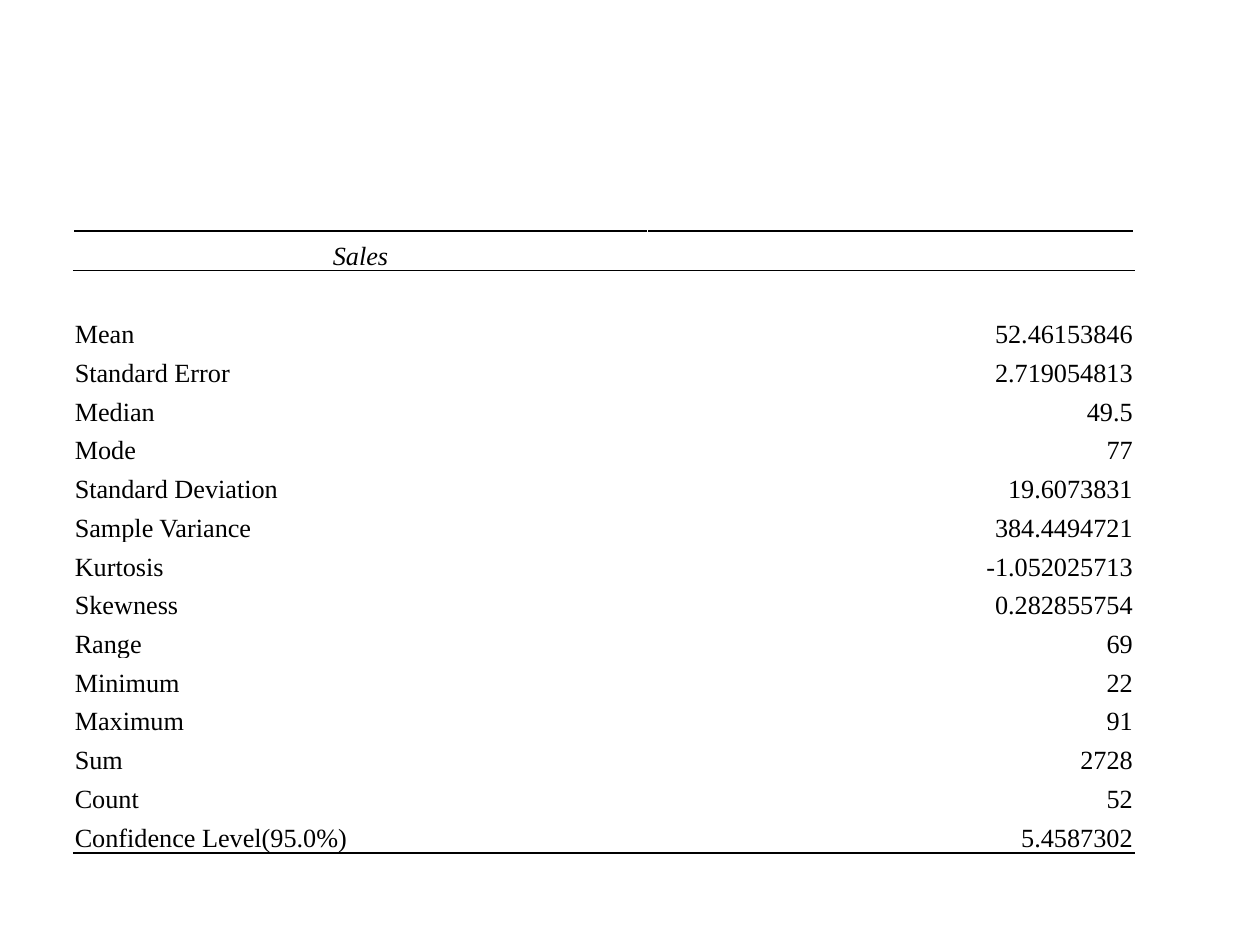
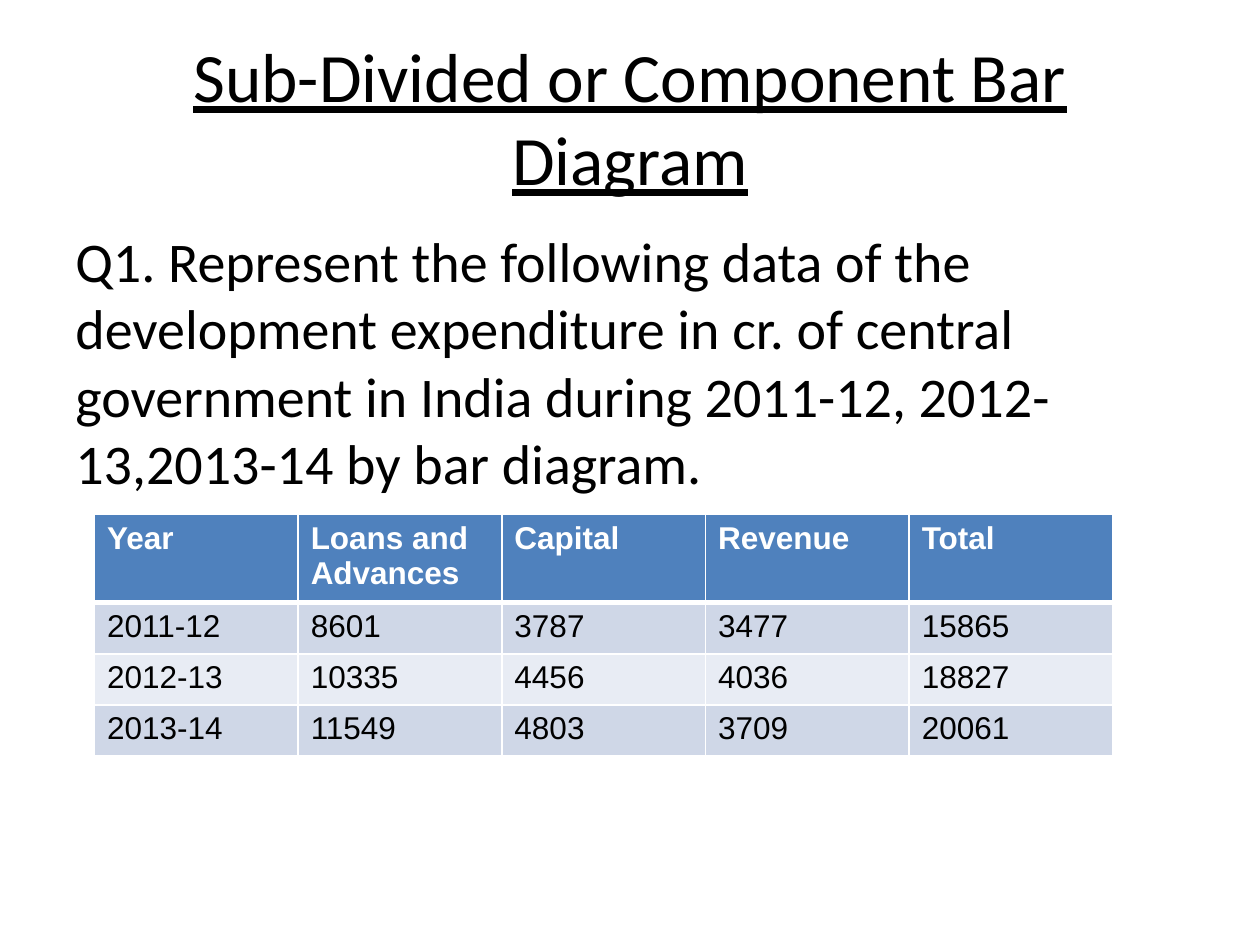
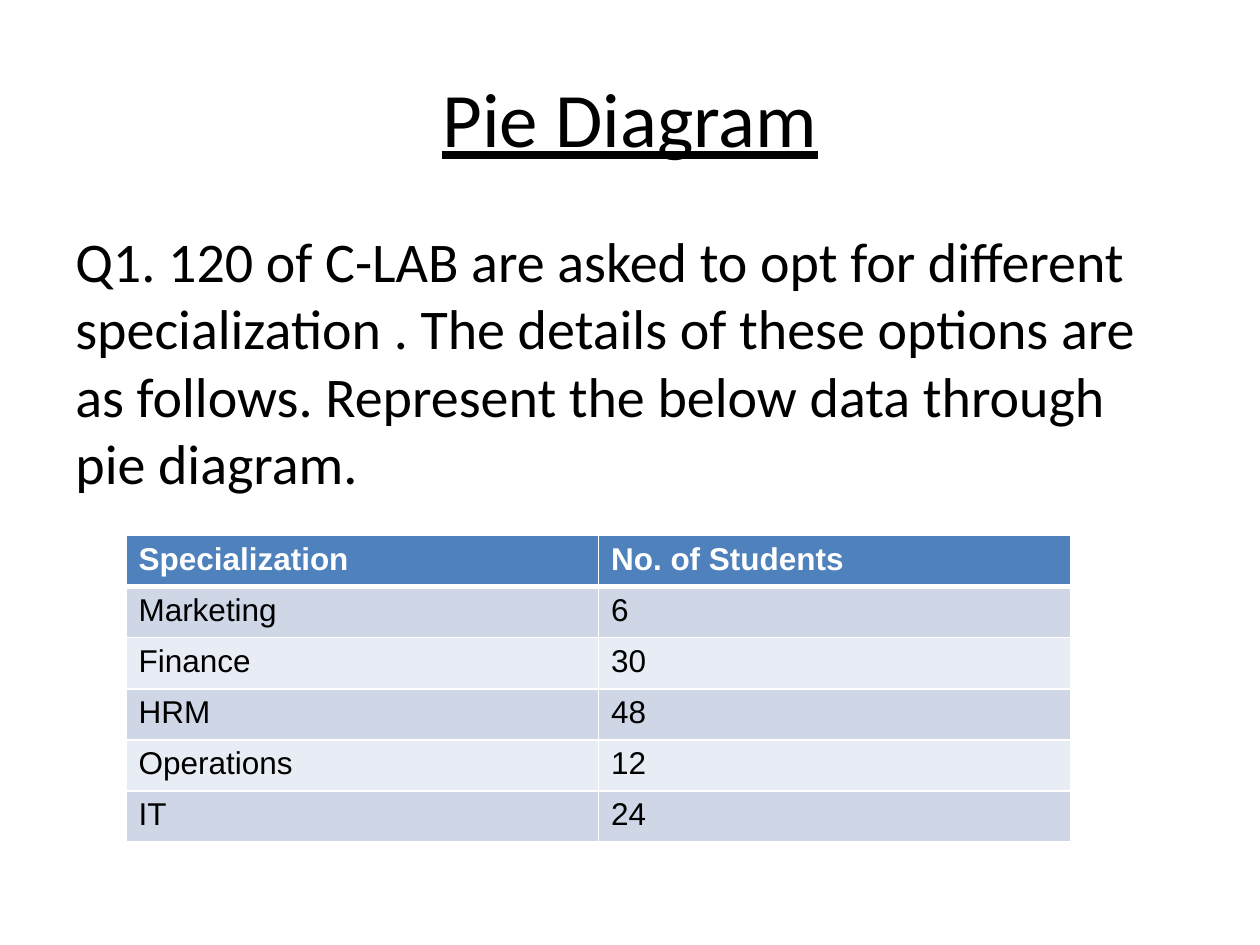
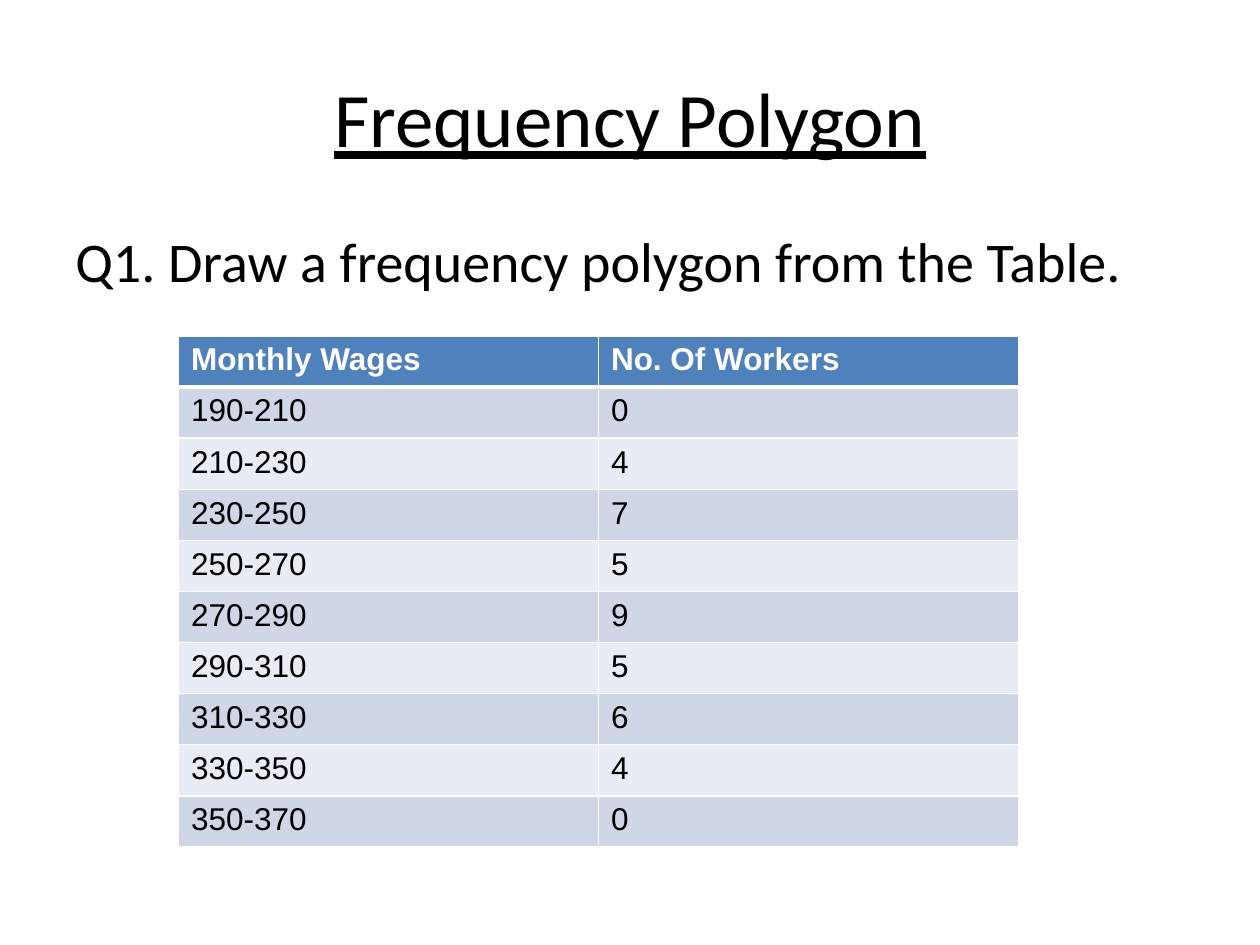
from pptx import Presentation
from pptx.dml.color import RGBColor
from pptx.enum import text
from pptx.oxml import ns
from pptx.util import Pt
from lxml import etree

COLORS = {
    "ink": "000000",
    "paper": "FFFFFF",
    "header": "4F81BD",
    "band_dark": "CFD7E7",
    "band_light": "E8ECF4",
}
ALIGN = {
    "l": text.PP_ALIGN.LEFT,
    "c": text.PP_ALIGN.CENTER,
    "r": text.PP_ALIGN.RIGHT,
}
PADDING = (7.2, 3.6, 7.2, 3.6)
TIGHT = (0.72, 0.72, 0.72, 0)
ROW_HEIGHT = 29.2
STATS_ROW_HEIGHT = 22.14


def write(tf, content, font="Calibri", size=32, color="ink", align="l",
          bold=False, italic=False, underline=False):
    p = tf.paragraphs[0]
    p.alignment = ALIGN[align]
    r = p.add_run()
    r.text = content
    r.font.name = font
    r.font.size = Pt(size)
    r.font.bold = bold
    r.font.italic = italic
    r.font.underline = underline
    r.font.color.rgb = RGBColor.from_string(COLORS[color])


def set_margins(target, margins):
    (target.margin_left, target.margin_top,
     target.margin_right, target.margin_bottom) = map(Pt, margins)


def set_borders(cell, color, **widths):
    tc_pr = cell._tc.get_or_add_tcPr()
    for side in "LRTB":
        if side in widths:
            ln = etree.SubElement(tc_pr, ns.qn("a:ln" + side), w=str(Pt(widths[side])))
            fill = etree.SubElement(ln, ns.qn("a:solidFill"))
            etree.SubElement(fill, ns.qn("a:srgbClr"), val=COLORS[color])


class Deck:
    def __init__(self):
        self.prs = Presentation()
        self.prs.slide_width = Pt(720)
        self.prs.slide_height = Pt(540)
        self.s = None

    def add_slide(self):
        self.s = self.prs.slides.add_slide(self.prs.slide_layouts[6])

    def textbox(self, content, top, height, anchor=text.MSO_ANCHOR.TOP, **fmt):
        sp = self.s.shapes.add_textbox(Pt(36), Pt(top), Pt(648), Pt(height))
        tf = sp.text_frame
        tf.word_wrap = True
        tf.vertical_anchor = anchor
        set_margins(tf, PADDING)
        write(tf, content, **fmt)

    def title(self, content, size=44):
        self.textbox(content, 21.6, 90, text.MSO_ANCHOR.MIDDLE,
                     size=size, align="c", underline=True)

    def question(self, content):
        self.textbox(content, 126, 356.4)

    def table(self, rows, left, top, widths, row_height):
        frame = self.s.shapes.add_table(
            len(rows), len(widths), Pt(left), Pt(top),
            Pt(sum(widths)), Pt(row_height * len(rows)))
        table = frame.table
        table.first_row = table.horz_banding = False
        for column, width in zip(table.columns, widths):
            column.width = Pt(width)
        for row in table.rows:
            row.height = Pt(row_height)
        return table

    def data_table(self, rows, left, top, width):
        count = len(rows[0])
        table = self.table(rows, left, top, [width / count] * count, ROW_HEIGHT)
        for i, row in enumerate(rows):
            header = i == 0
            fill = "header" if header else "band_dark" if i % 2 else "band_light"
            for j, value in enumerate(row):
                cell = table.cell(i, j)
                set_margins(cell, PADDING)
                set_borders(cell, "paper", L=1, R=1,
                            T=3 if i == 1 else 1, B=3 if header else 1)
                cell.fill.solid()
                cell.fill.fore_color.rgb = RGBColor.from_string(COLORS[fill])
                write(cell.text_frame, value, font="Arial", size=18,
                      color="paper" if header else "ink", bold=header)

    def stats_table(self, rows, left, top, widths):
        table = self.table(rows, left, top, widths, STATS_ROW_HEIGHT)
        rules = {0: {"T": 1, "B": 0.75}, 1: {"T": 0.75}, len(rows) - 1: {"B": 1}}
        for i, row in enumerate(rows):
            for j, value in enumerate(row):
                cell = table.cell(i, j)
                set_margins(cell, TIGHT)
                cell.vertical_anchor = text.MSO_ANCHOR.BOTTOM
                set_borders(cell, "ink", **rules.get(i, {}))
                cell.fill.background()
                if value:
                    write(cell.text_frame, value, font="Times New Roman", size=15,
                          align="c" if i == 0 else "lr"[j], italic=i == 0)


STATS = [
    ("Sales", ""),
    ("", ""),
    ("Mean", "52.46153846"),
    ("Standard Error", "2.719054813"),
    ("Median", "49.5"),
    ("Mode", "77"),
    ("Standard Deviation", "19.6073831"),
    ("Sample Variance", "384.4494721"),
    ("Kurtosis", "-1.052025713"),
    ("Skewness", "0.282855754"),
    ("Range", "69"),
    ("Minimum", "22"),
    ("Maximum", "91"),
    ("Sum", "2728"),
    ("Count", "52"),
    ("Confidence Level(95.0%)", "5.4587302"),
]
EXPENDITURE = [
    ("Year", "Loans and Advances", "Capital", "Revenue", "Total"),
    ("2011-12", "8601", "3787", "3477", "15865"),
    ("2012-13", "10335", "4456", "4036", "18827"),
    ("2013-14", "11549", "4803", "3709", "20061"),
]
SPECIALIZATIONS = [
    ("Specialization", "No. of Students"),
    ("Marketing", "6"),
    ("Finance", "30"),
    ("HRM", "48"),
    ("Operations", "12"),
    ("IT", "24"),
]
WORKERS = ("0", "4", "7", "5", "9", "5", "6", "4", "0")
WAGES = [("Monthly Wages", "No. Of Workers")] + [
    (f"{low}-{low + 20}", count)
    for low, count in zip(range(190, 370, 20), WORKERS)
]


def main():
    deck = Deck()

    deck.add_slide()
    deck.stats_table(STATS, 42, 132, (328, 278))

    deck.add_slide()
    deck.title("Sub-Divided or Component Bar Diagram", size=39.6)
    deck.question("Q1. Represent the following data of the development expenditure "
                  "in cr. of central government in India during 2011-12, "
                  "2012-13,2013-14 by bar diagram.")
    deck.data_table(EXPENDITURE, 54, 294, 582)

    deck.add_slide()
    deck.title("Pie Diagram")
    deck.question("Q1. 120 of C-LAB are asked to opt for different specialization . "
                  "The details of these options are as follows. Represent the below "
                  "data through pie diagram.")
    deck.data_table(SPECIALIZATIONS, 72, 306, 540)

    deck.add_slide()
    deck.title("Frequency Polygon")
    deck.question("Q1. Draw a frequency polygon from the Table.")
    deck.data_table(WAGES, 102, 192, 480)

    deck.prs.save("out.pptx")


if __name__ == "__main__":
    main()
